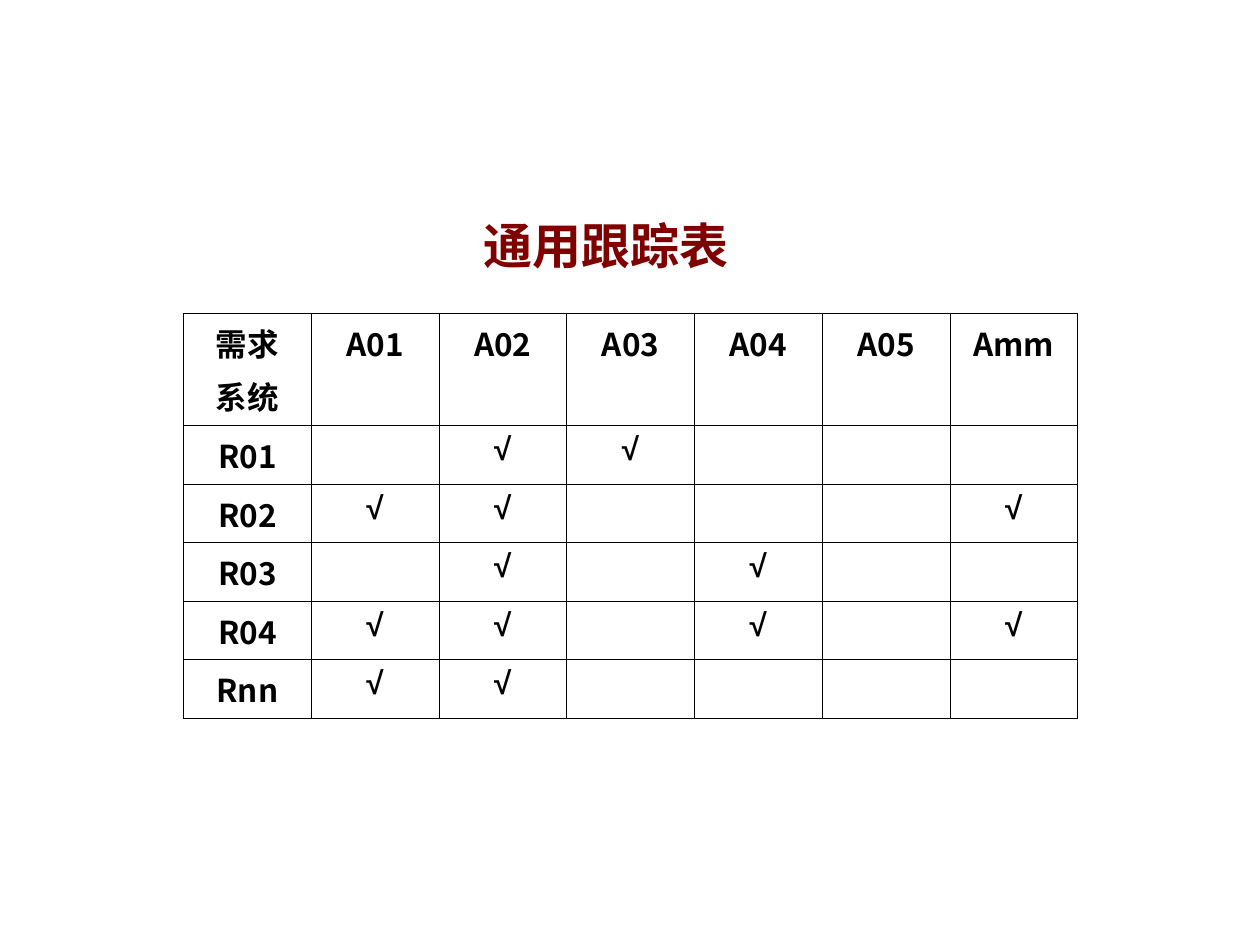
"""Build a slide with a general requirements tracking table."""
import pptx
import pptx.util
import pptx.dml.color
import pptx.enum.text
import pptx.oxml
import pptx.oxml.ns
from pptx.util import Cm

RED = pptx.dml.color.RGBColor(0x80, 0x00, 0x00)
BLACK = pptx.dml.color.RGBColor(0x00, 0x00, 0x00)
SERIF, SANS, MARK = "Times New Roman", "Noto Sans CJK SC", "Arial"
ALIGN = pptx.enum.text.PP_ALIGN
ANCHOR = pptx.enum.text.MSO_ANCHOR

ROWS = [
    ["需求\n系统", "A01", "A02", "A03", "A04", "A05", "Amm"],
    ["R01", "", "√", "√", "", "", ""],
    ["R02", "√", "√", "", "", "", "√"],
    ["R03", "", "√", "", "√", "", ""],
    ["R04", "√", "√", "", "√", "", "√"],
    ["Rnn", "√", "√", "", "", "", ""],
]


def style(para, face, size, color):
    para.font.name = face
    para.font.size = pptx.util.Pt(size)
    para.font.bold = True
    para.font.color.rgb = color


def border(cell):
    props = cell._tc.get_or_add_tcPr()
    for place, side in enumerate(("lnL", "lnR", "lnT", "lnB")):
        line = pptx.oxml.parse_xml(
            f'<a:{side} {pptx.oxml.ns.nsdecls("a")} w="5715"><a:solidFill>'
            f'<a:srgbClr val="{BLACK}"/></a:solidFill></a:{side}>')
        props.insert(place, line)


deck = pptx.Presentation()
deck.slide_width, deck.slide_height = Cm(25.4), Cm(19.05)
slide = deck.slides.add_slide(deck.slide_layouts[5])

title = slide.shapes.title
title.left, title.top = Cm(9.5), Cm(4.11)
title.width, title.height = Cm(5.72), Cm(1.55)
frame = title.text_frame
frame.text = "通用跟踪表"
frame.vertical_anchor = ANCHOR.BOTTOM
frame.auto_size = pptx.enum.text.MSO_AUTO_SIZE.NONE
frame.paragraphs[0].alignment = ALIGN.LEFT
style(frame.paragraphs[0], SERIF, 28, RED)

table = slide.shapes.add_table(
    len(ROWS), len(ROWS[0]), Cm(3.7), Cm(6.32), Cm(18.03), Cm(7.63)).table
table.first_row = table.horz_banding = False
for row in table.rows:
    row.height = Cm(1.1)
table.rows[0].height = Cm(2.13)

for y, row in enumerate(ROWS):
    for x, text in enumerate(row):
        cell = table.cell(y, x)
        cell.fill.background()
        border(cell)
        cell.margin_left = cell.margin_right = Cm(0.2)
        cell.margin_top = cell.margin_bottom = Cm(0.13)
        cell.text = text
        face = SERIF if x == y == 0 else SANS if x == 0 or y == 0 else MARK
        for n, para in enumerate(cell.text_frame.paragraphs):
            para.alignment = ALIGN.CENTER
            if n:
                para.space_before = pptx.util.Pt(4.5)
            style(para, face, 18, BLACK)

deck.save("out.pptx")
